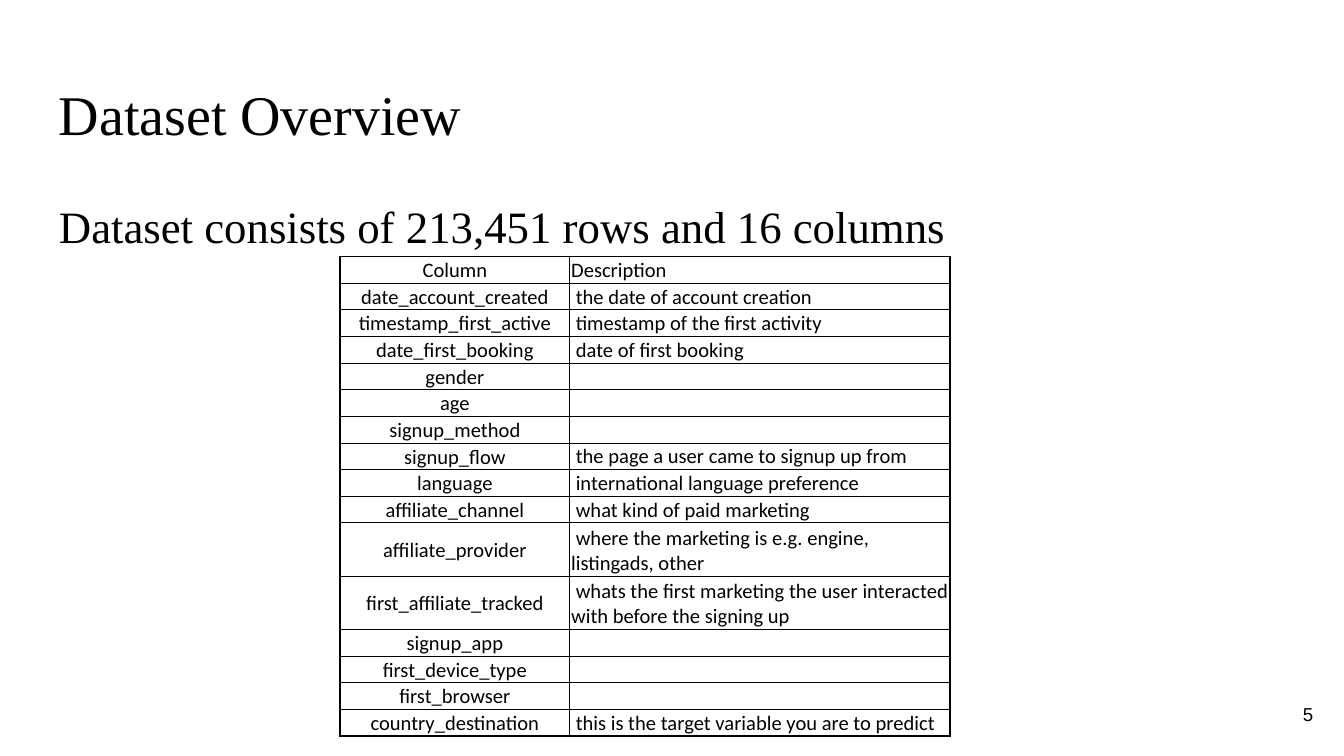
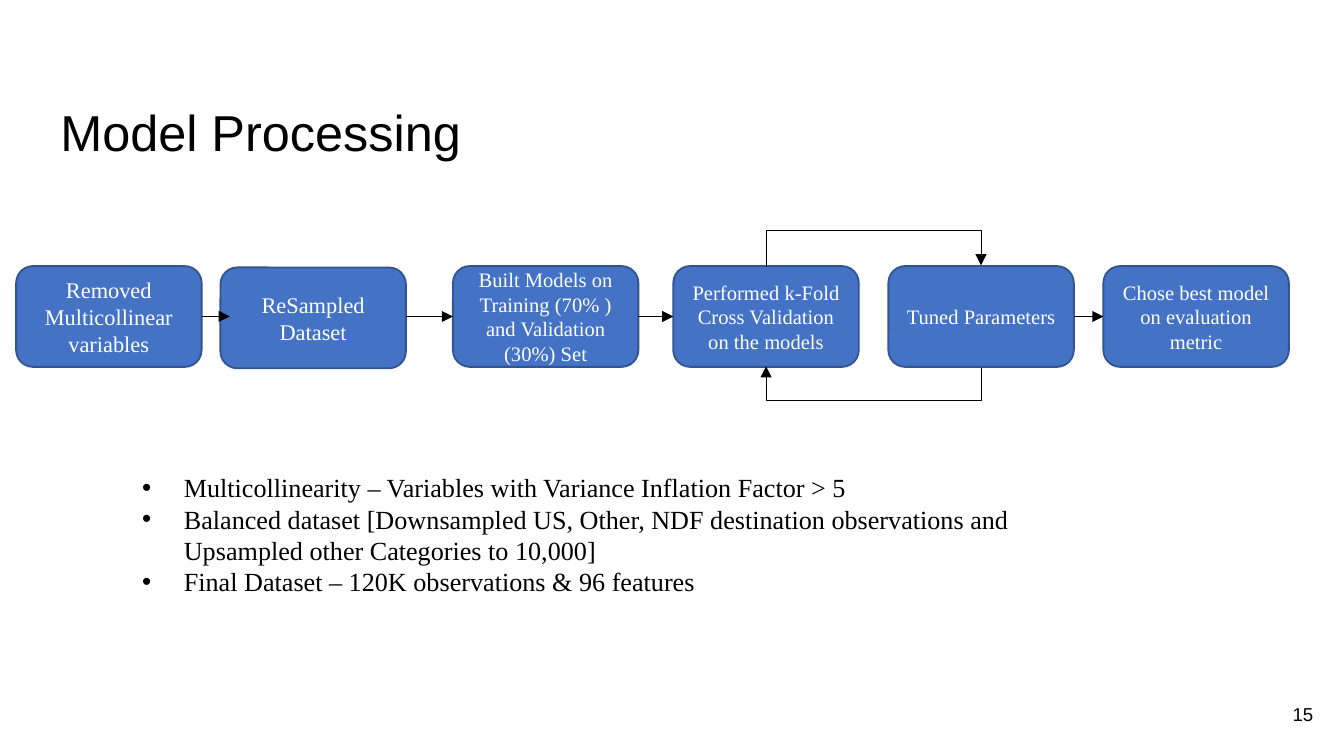
import pptx
import pptx.util
import pptx.dml.color
import pptx.enum.text
import pptx.enum.shapes
import pptx.oxml
import pptx.oxml.ns
import lxml.etree

Inches, Pt = pptx.util.Inches, pptx.util.Pt
qn = pptx.oxml.ns.qn
ALIGN = pptx.enum.text.PP_ALIGN
ANCHOR = pptx.enum.text.MSO_ANCHOR
SHAPE = pptx.enum.shapes.MSO_SHAPE
CONNECTOR = pptx.enum.shapes.MSO_CONNECTOR

BLACK, WHITE, BLUE, DARK_BLUE = "000000", "FFFFFF", "4472C4", "325491"
SERIF, SANS, TABLE_FONT = "Times New Roman", "Arial", "Calibri"
INSETS = (0.1, 0.1, 0.1, 0.1)
SLIDE_WIDTH = Inches(10)

COLUMNS = [
    ("Column", "Description"),
    ("date_account_created", " the date of account creation"),
    ("timestamp_first_active", " timestamp of the first activity"),
    ("date_first_booking", " date of first booking"),
    ("gender", ""),
    ("age", ""),
    ("signup_method", ""),
    ("signup_flow", " the page a user came to signup up from"),
    ("language", " international language preference"),
    ("affiliate_channel", " what kind of paid marketing"),
    ("affiliate_provider", " where the marketing is e.g. engine, listingads, other"),
    ("first_affiliate_tracked",
     " whats the first marketing the user interacted with before the signing up"),
    ("signup_app", ""),
    ("first_device_type", ""),
    ("first_browser", ""),
    ("country_destination", " this is the target variable you are to predict"),
]
TALL_ROWS = (10, 11)
TABLE_AT = (2.53, 1.91)
TABLE_HEIGHT = 3.57
COLUMN_WIDTHS = (1.71, 2.83)

STEPS = [
    (0.12, 1.98, 12, ["Removed Multicollinear variables"]),
    (1.64, 1.99, 12, ["ReSampled Dataset"]),
    (3.37, 1.98, 11, ["Built Models on", "Training (70% ) and Validation (30%) Set"]),
    (5.01, 1.98, 11, ["Performed k-Fold Cross Validation on the models"]),
    (6.61, 1.98, 11, ["Tuned Parameters"]),
    (8.21, 1.98, 11, ["Chose best model on evaluation metric"]),
]
STEP_TOP, STEP_W, STEP_H = 1.98, 1.38, 0.75
ARROWS = [(0, 1, 0.07), (1, 2, 0), (2, 3, 0), (4, 5, 0)]
LOOP = (3, 4)
LOOP_DEPTH = 0.01
RISE_ABOVE, DROP_BELOW = 0.27, 0.25

NOTES = [
    "Multicollinearity – Variables with Variance Inflation Factor > 5",
    "Balanced dataset [Downsampled US, Other, NDF destination observations and "
    "Upsampled other Categories to 10,000]",
    "Final Dataset – 120K observations & 96 features",
]


def rgb(value):
    return pptx.dml.color.RGBColor.from_string(value)


def set_all(obj, values):
    for name, value in values.items():
        setattr(obj, name, value)


def sub(parent, tag, **attrs):
    el = lxml.etree.SubElement(parent, qn(tag))
    for name, value in attrs.items():
        el.set(name, str(value))
    return el


def write(tf, lines, size, font, color=BLACK, align=ALIGN.LEFT):
    for i, line in enumerate(lines):
        p = tf.paragraphs[0] if i == 0 else tf.add_paragraph()
        p.alignment = align
        if line:
            r = p.add_run()
            r.text = line
            set_all(r.font, {"size": Pt(size), "name": font})
            r.font.color.rgb = rgb(color)
        else:
            sub(p._p, "a:endParaRPr", sz=size * 100)


def add_text(s, at, lines, size, font, insets=INSETS, anchor=ANCHOR.TOP, align=ALIGN.LEFT):
    tf = s.shapes.add_textbox(*map(Inches, at)).text_frame
    sides = ("margin_left", "margin_top", "margin_right", "margin_bottom")
    set_all(tf, dict(zip(sides, map(Inches, insets))))
    set_all(tf, {"word_wrap": True, "vertical_anchor": anchor})
    write(tf, lines, size, font, align=align)
    return tf


def add_slide(prs, title, at, size, font, number):
    s = prs.slides.add_slide(prs.slide_layouts[6])
    add_text(s, (*at, 9.32, 0.67), [title], size, font)
    add_text(s, (9.27, 5.1, 0.6, 0.43), [number], 10, SANS,
             anchor=ANCHOR.MIDDLE, align=ALIGN.RIGHT)
    return s


def set_borders(cell, widths):
    tc_pr = cell._tc.get_or_add_tcPr()
    for i, (side, width) in enumerate(widths.items()):
        ln = sub(tc_pr, "a:ln" + side, w=Pt(width))
        sub(sub(ln, "a:solidFill"), "a:srgbClr", val=BLACK)
        tc_pr.insert(i, ln)


def add_column_table(s):
    last = len(COLUMNS) - 1
    unit = TABLE_HEIGHT / (len(COLUMNS) + len(TALL_ROWS))
    table = s.shapes.add_table(len(COLUMNS), 2, *map(Inches, TABLE_AT),
                               Inches(sum(COLUMN_WIDTHS)), Inches(TABLE_HEIGHT)).table
    set_all(table, {"first_row": False, "horz_banding": False})
    for col, width in zip(table.columns, COLUMN_WIDTHS):
        col.width = Inches(width)
    for i, texts in enumerate(COLUMNS):
        table.rows[i].height = Inches(unit * (2 if i in TALL_ROWS else 1))
        for j, text in enumerate(texts):
            cell = table.cell(i, j)
            middle = j == 0 and i > 1
            set_all(cell, {
                "margin_left": Inches(0.01), "margin_right": Inches(0.01),
                "margin_top": Inches(0.01), "margin_bottom": 0,
                "vertical_anchor": ANCHOR.MIDDLE if middle else ANCHOR.BOTTOM,
            })
            cell.fill.background()
            write(cell.text_frame, [text], 11, TABLE_FONT,
                  align=ALIGN.LEFT if j else ALIGN.CENTER)
            set_borders(cell, {
                "L": 0.5 if j else 1, "R": 1 if j else 0.5,
                "T": 0.5 if i else 1, "B": 1 if i == last else 0.5,
            })


def add_step(s, left, top, size, lines):
    sp = s.shapes.add_shape(SHAPE.ROUNDED_RECTANGLE,
                            *map(Inches, (left, top, STEP_W, STEP_H)))
    sp.shadow.inherit = False
    sp.fill.solid()
    sp.fill.fore_color.rgb = rgb(BLUE)
    sp.line.color.rgb = rgb(DARK_BLUE)
    sp.line.width = Pt(1)
    set_all(sp.text_frame, {"word_wrap": True, "vertical_anchor": ANCHOR.MIDDLE})
    write(sp.text_frame, lines, size, SERIF, WHITE, ALIGN.CENTER)


def add_arrow(s, kind, *ends):
    line = s.shapes.add_connector(kind, *map(Inches, ends))
    line.line.color.rgb = rgb(BLACK)
    line.line.width = Pt(0.5)
    sub(line.line._get_or_add_ln(), "a:tailEnd", type="triangle")
    sub(line._element.spPr, "a:effectLst")
    return line


def add_loop(s, x1, x2, y, flips, rise):
    span, mid = x2 - x1, (x1 + x2) / 2
    left, top = mid - LOOP_DEPTH / 2, y - span / 2
    line = add_arrow(s, CONNECTOR.ELBOW, left, top, left + LOOP_DEPTH, top + span)
    sp_pr = line._element.spPr
    xfrm = sp_pr.find(qn("a:xfrm"))
    xfrm.set("rot", str(90 * 60000))
    for flip in flips:
        xfrm.set(flip, "1")
    guides = sp_pr.find(qn("a:prstGeom")).find(qn("a:avLst"))
    bend = round(rise / LOOP_DEPTH * 100000)
    sub(guides, "a:gd", name="adj1", fmla=f"val {bend}")


def add_notes(s):
    tf = add_text(s, (0.58, 3.46, 7.17, 1.04), NOTES, 14, SERIF, (0.1, 0.05, 0.1, 0.05))
    for p in tf.paragraphs:
        p_pr = p._p.get_or_add_pPr()
        p_pr.set("marL", str(Inches(0.69)))
        p_pr.set("indent", str(Inches(-0.31)))
        sub(p_pr, "a:buFont", typeface=SANS)
        sub(p_pr, "a:buChar", char="•")


def build_overview(prs):
    s = add_slide(prs, "Dataset Overview", (0.34, 0.49), 30, SERIF, "5")
    add_text(s, (0.34, 1.38, 9.32, 4.1),
             ["Dataset consists of 213,451 rows and 16 columns"], 24, SERIF)
    add_column_table(s)


def build_processing(prs):
    s = add_slide(prs, "Model Processing", (0.35, 0.65), 27, SANS, "15")
    for step in STEPS:
        add_step(s, *step)
    y = STEP_TOP + STEP_H / 2
    for a, b, overlap in ARROWS:
        add_arrow(s, CONNECTOR.STRAIGHT, STEPS[a][0] + STEP_W, y, STEPS[b][0] + overlap, y)
    x1, x2 = (STEPS[i][0] + STEP_W / 2 for i in LOOP)
    add_loop(s, x1, x2, STEP_TOP, ("flipH", "flipV"), RISE_ABOVE)
    add_loop(s, x1, x2, STEP_TOP + STEP_H, ("flipH",), -DROP_BELOW)
    add_notes(s)


def main():
    prs = pptx.Presentation()
    set_all(prs, {"slide_width": SLIDE_WIDTH, "slide_height": SLIDE_WIDTH * 9 // 16})
    build_overview(prs)
    build_processing(prs)
    prs.save("out.pptx")


if __name__ == "__main__":
    main()
